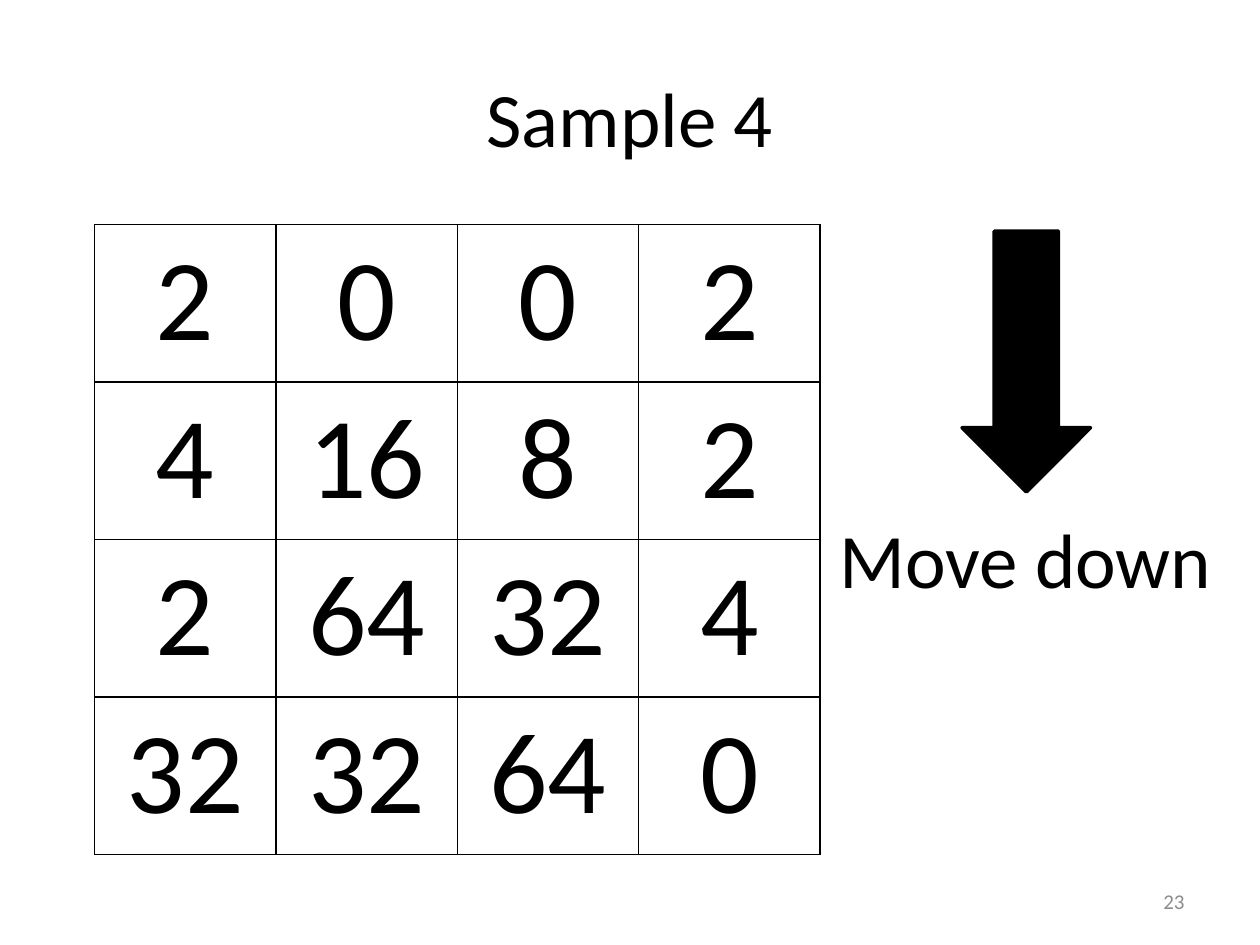
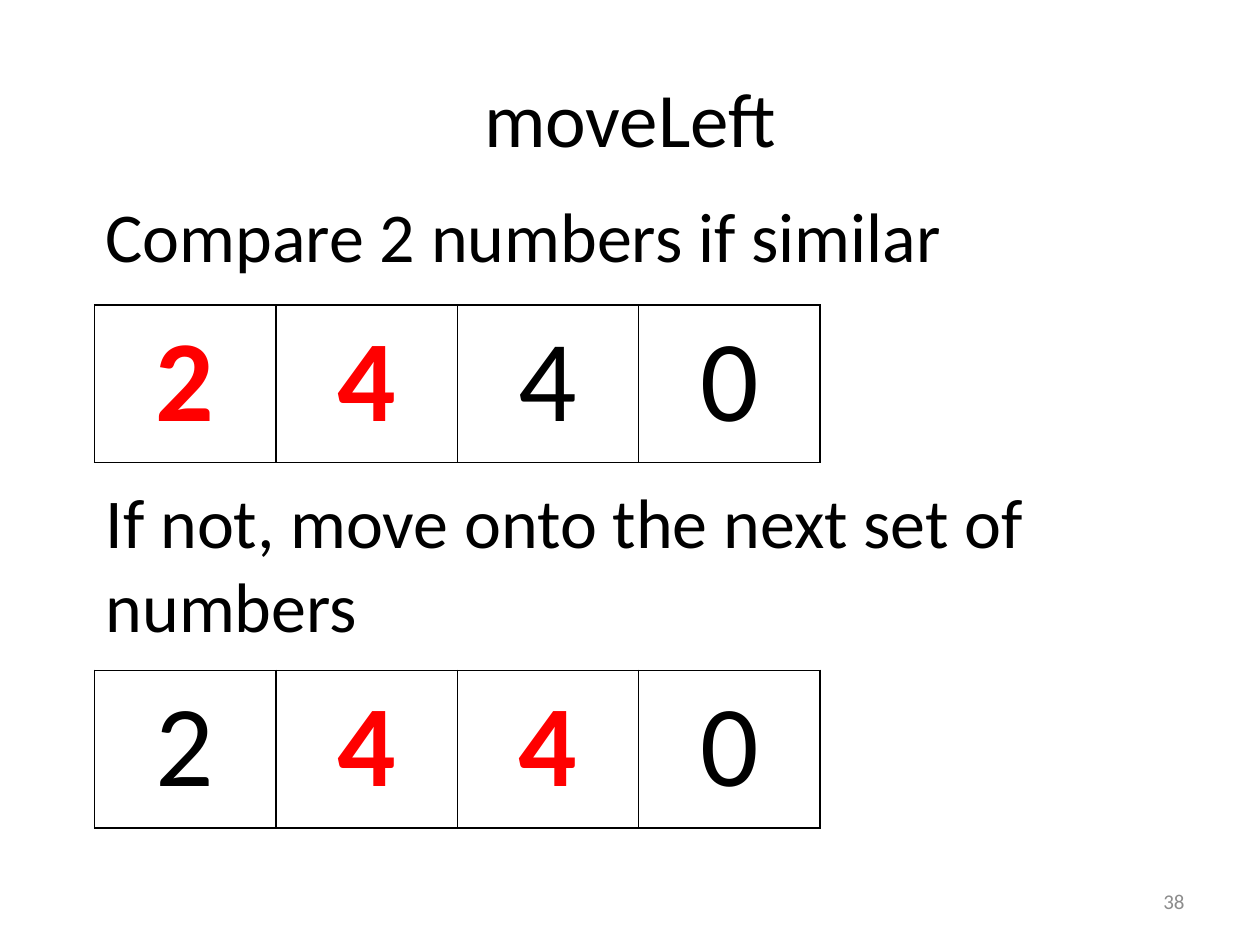
from pptx import Presentation
from pptx import util as u
from pptx.dml.color import RGBColor
from pptx.enum import shapes, text
from pptx.oxml import parse_xml
from pptx.oxml.ns import nsdecls

BLACK, WHITE, RED, GRAY = "000000", "FFFFFF", "FF0000", "8C8C8C"
LEFT, CENTER, RIGHT = text.PP_ALIGN.LEFT, text.PP_ALIGN.CENTER, text.PP_ALIGN.RIGHT
MIDDLE, TOP = text.MSO_ANCHOR.MIDDLE, text.MSO_ANCHOR.TOP


def hue(code):
    return RGBColor.from_string(code)


def write(frame, words, size=44, color=BLACK, bold=False, align=CENTER):
    para = frame.paragraphs[0]
    para.alignment = align
    run = para.add_run()
    run.text = words
    font = run.font
    font.name, font.size, font.bold = "Calibri", u.Pt(size), bold
    font.color.rgb = hue(color)


def place(item, *box):
    item.left, item.top, item.width, item.height = map(u.Inches, box)


class Deck:
    font = "Calibri"
    side = 0.75
    cell = 1.44, 1.25

    def __init__(self):
        self.prs = Presentation()
        self.prs.slide_width = u.Inches(10)
        self.prs.slide_height = u.Inches(7.5)
        self.slide = None

    def start(self, title, number):
        self.slide = self.prs.slides.add_slide(self.prs.slide_layouts[5])
        head = self.slide.shapes.title
        place(head, 0.5, 0.3, 9, 1.25)
        head.text_frame.vertical_anchor = MIDDLE
        write(head.text_frame, title)
        self.label(number, 7.17, 6.95, 2.33, 0.4, anchor=MIDDLE,
                   size=12, color=GRAY, align=RIGHT)

    def label(self, words, *box, anchor=TOP, **style):
        frame = self.slide.shapes.add_textbox(*map(u.Inches, box)).text_frame
        frame.word_wrap = True
        frame.vertical_anchor = anchor
        write(frame, words, **style)

    def grid(self, rows, top, marked=()):
        wide, high = self.cell
        count = len(rows[0])
        table = self.slide.shapes.add_table(
            len(rows), count, u.Inches(self.side), u.Inches(top),
            u.Inches(wide * count), u.Inches(high * len(rows))).table
        table.first_row = table.horz_banding = False
        for y, row in enumerate(rows):
            table.rows[y].height = u.Inches(high)
            for x, value in enumerate(row):
                table.columns[x].width = u.Inches(wide)
                hit = x in marked
                self.fill(table.cell(y, x), value, RED if hit else BLACK, hit)

    def fill(self, cell, value, color, bold):
        props = cell._tc.get_or_add_tcPr()
        for edge in "LRTB":
            props.append(parse_xml(
                f'<a:ln{edge} {nsdecls("a")} w="12700"><a:solidFill>'
                f'<a:srgbClr val="{BLACK}"/></a:solidFill></a:ln{edge}>'))
        cell.fill.solid()
        cell.fill.fore_color.rgb = hue(WHITE)
        write(cell.text_frame, str(value), size=66, color=color, bold=bold)

    def arrow(self, turn, *box):
        item = self.slide.shapes.add_shape(
            shapes.MSO_SHAPE.RIGHT_ARROW, *map(u.Inches, box))
        item.rotation = turn
        item.shadow.inherit = False
        item.fill.solid()
        item.fill.fore_color.rgb = hue(BLACK)
        item.line.color.rgb = hue(BLACK)
        item.line.width = u.Pt(2)


def main():
    deck = Deck()

    deck.start("Sample 4", "23")
    deck.grid([(2, 0, 0, 2), (4, 16, 8, 2), (2, 64, 32, 4), (32, 32, 64, 0)], 1.78)
    deck.label("Move down", 6.56, 4.01, 3.16, 0.84)
    deck.arrow(90, 7.11, 2.36, 2.07, 1.02)

    deck.start("moveLeft", "38")
    row = 2, 4, 4, 0
    deck.grid([row], 2.42, marked=(0, 1))
    deck.grid([row], 5.32, marked=(1, 2))
    deck.label("Compare 2 numbers if similar", 0.74, 1.48, 8.28, 0.77,
               size=40, align=LEFT)
    deck.label("If not, move onto the next set of numbers", 0.74, 3.75, 9.26, 1.45,
               size=40, align=LEFT)

    deck.prs.save("out.pptx")


if __name__ == "__main__":
    main()
